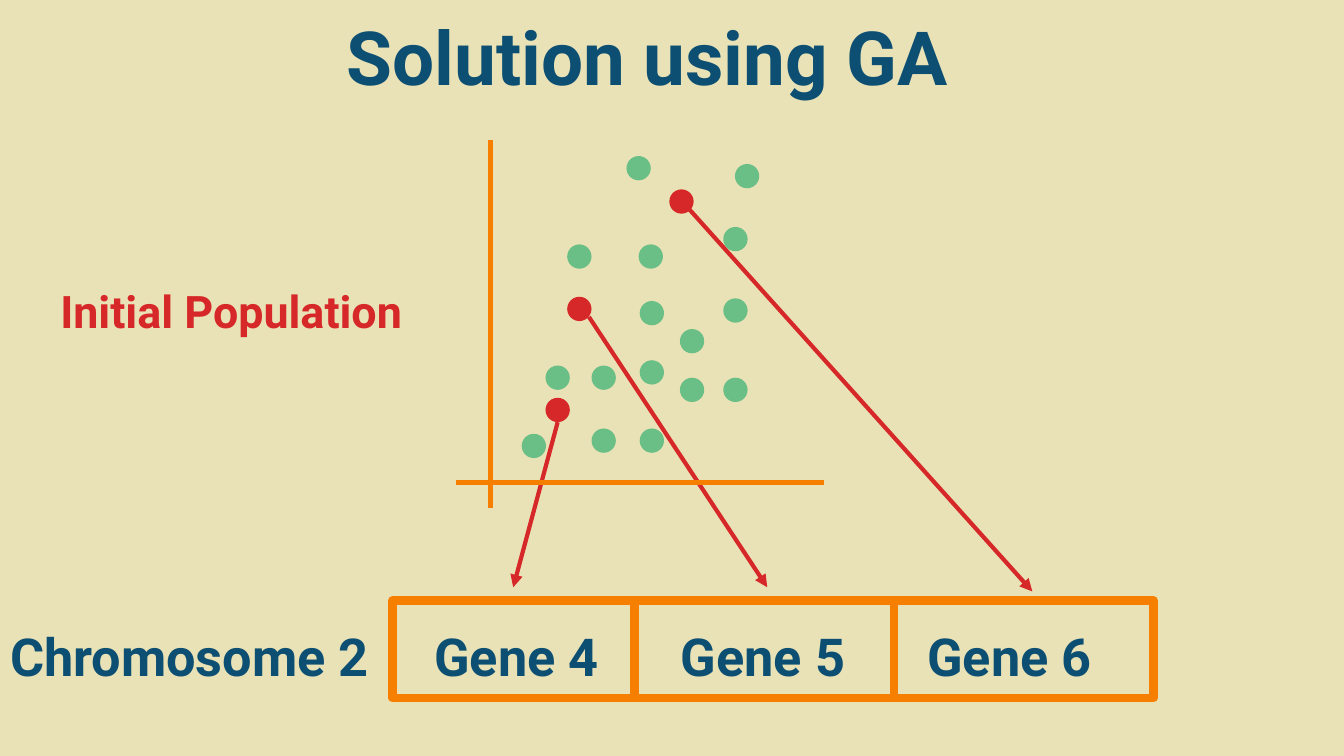
from pptx import Presentation
from pptx.dml.color import RGBColor
from pptx.enum.shapes import MSO_CONNECTOR as Link, MSO_SHAPE as Form
from pptx.enum.text import MSO_ANCHOR as Anchor, MSO_AUTO_SIZE as Fit, PP_ALIGN as Align
from pptx.oxml.ns import qn
from pptx.util import Cm, Pt
from lxml.etree import SubElement

SAND = RGBColor(0xEA, 0xE2, 0xB7)
NAVY = RGBColor(0x0C, 0x4F, 0x72)
RED = RGBColor(0xD6, 0x28, 0x28)
GREEN = RGBColor(0x69, 0xBF, 0x86)
AMBER = RGBColor(0xF7, 0x7F, 0x00)

DOT = 0.46
ROW_TOP, ROW_END = 11.35, 13.2

# Left and top of each dot, in cm
POINTS = [
    (9.86, 8.2), (10.31, 6.91), (11.18, 6.91), (11.18, 8.1),
    (12.09, 8.1), (12.09, 5.69), (12.09, 6.81), (10.72, 4.62),
    (12.07, 4.62), (12.85, 6.22), (12.85, 7.14), (13.67, 7.14),
    (13.67, 5.64), (13.67, 4.29), (13.89, 3.1), (11.84, 2.95),
]
PICKS = [(10.31, 7.52), (10.72, 5.61), (12.65, 3.58)]
ARROWS = [
    (10.54, 7.98, 9.7, 11.1),
    (11.13, 5.99, 14.5, 11.1),
    (13.03, 3.96, 19.51, 11.18),
]


def write(shape, text, size, color):
    """Fill a text shape with one centred bold line that sits at the bottom."""
    frame = shape.text_frame
    frame.word_wrap = True
    frame.auto_size = Fit.NONE
    frame.vertical_anchor = Anchor.BOTTOM
    frame.margin_left = frame.margin_right = Cm(0.25)
    frame.margin_top = frame.margin_bottom = Cm(0.25)
    para = frame.paragraphs[0]
    para.alignment = Align.CENTER
    run = para.add_run()
    run.text = text
    font = run.font
    font.name, font.size, font.bold = "Roboto", Pt(size), True
    font.color.rgb = color


def add_title(slide, text):
    title = slide.shapes.title
    title.left, title.top = Cm(5.92), Cm(-0.43)
    title.width, title.height = Cm(12.62), Cm(2.57)
    write(title, text, 40, NAVY)


def add_label(slide, text, box, size=28, color=NAVY):
    write(slide.shapes.add_textbox(*map(Cm, box)), text, size, color)


def add_line(slide, ends, color, width, arrow=False):
    line = slide.shapes.add_connector(Link.STRAIGHT, *map(Cm, ends))
    line.line.color.rgb = color
    line.line.width = Pt(width)
    if arrow:
        SubElement(line.line._get_or_add_ln(), qn("a:tailEnd"), type="triangle")
    SubElement(line._element.spPr, qn("a:effectLst"))


def add_dot(slide, left, top, color):
    dot = slide.shapes.add_shape(Form.OVAL, Cm(left), Cm(top), Cm(DOT), Cm(DOT))
    dot.shadow.inherit = False
    dot.fill.solid()
    dot.fill.fore_color.rgb = color
    dot.line.fill.background()


def add_frame(slide):
    """Draw the chromosome box with its two dividers."""
    box = slide.shapes.add_shape(
        Form.RECTANGLE, Cm(7.42), Cm(ROW_TOP), Cm(14.38), Cm(ROW_END - ROW_TOP))
    box.shadow.inherit = False
    box.fill.background()
    box.line.color.rgb = AMBER
    box.line.width = Pt(4.5)
    for x in (11.99, 16.89):
        add_line(slide, (x, ROW_TOP, x, ROW_END), AMBER, 4.5)


def main():
    deck = Presentation()
    deck.slide_width, deck.slide_height = Cm(25.4), Cm(14.29)
    slide = deck.slides.add_slide(deck.slide_layouts[5])
    slide.background.fill.solid()
    slide.background.fill.fore_color.rgb = SAND

    add_title(slide, "Solution using GA")
    add_frame(slide)
    add_label(slide, "Chromosome 2", (-0.23, 11.2, 7.62, 2.03))
    for ends in ARROWS:
        add_line(slide, ends, RED, 2.25, arrow=True)
    for i in range(3):
        add_label(slide, f"Gene {i + 4}", (6.33 + 4.66 * i, 11.2, 6.86, 2.03))

    add_line(slide, (9.27, 2.64, 9.27, 9.6), AMBER, 3)
    add_line(slide, (8.61, 9.12, 15.57, 9.12), AMBER, 3)
    for dots, color in ((POINTS, GREEN), (PICKS, RED)):
        for left, top in dots:
            add_dot(slide, left, top, color)
    add_label(slide, "Initial Population", (0.46, 5.21, 7.82, 1.42), 24, RED)

    deck.save("out.pptx")


if __name__ == "__main__":
    main()
